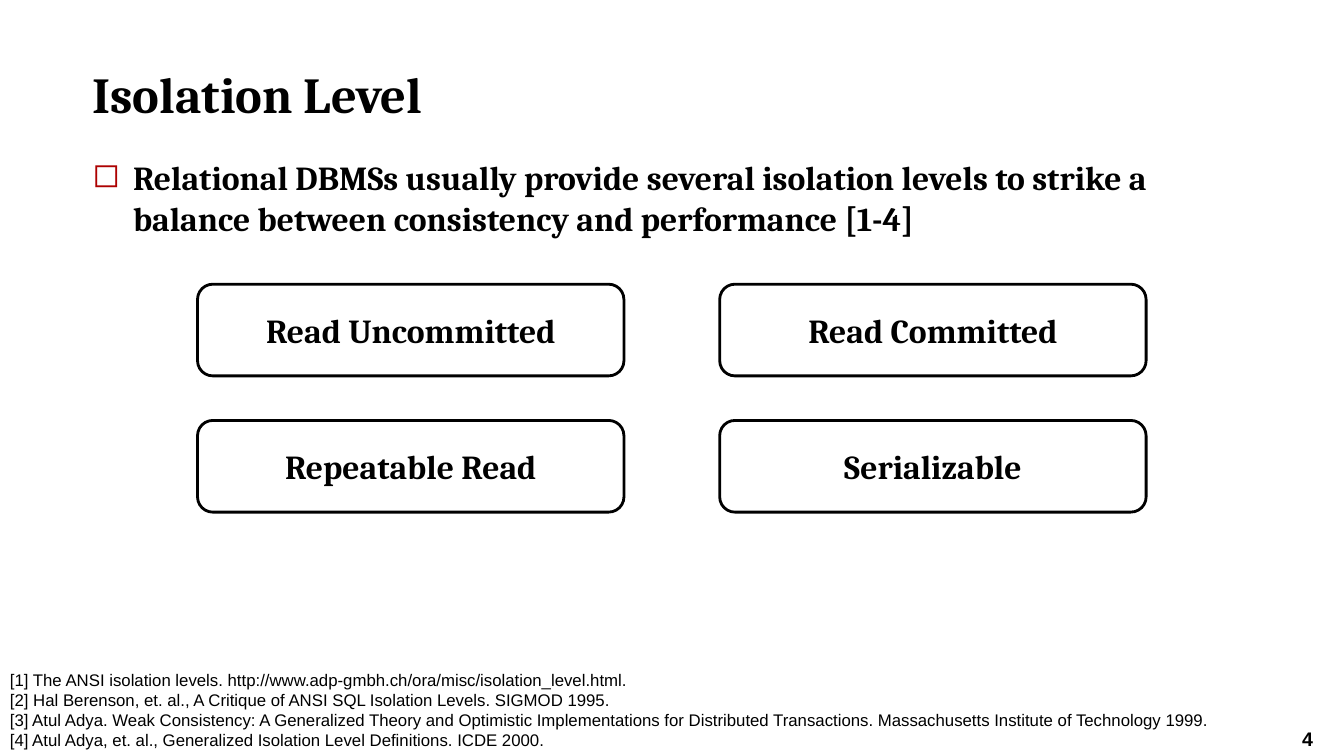
"""Build the slide on isolation levels."""
import pptx
import pptx.dml.color
import pptx.enum.shapes
import pptx.enum.text
import pptx.oxml
import pptx.oxml.ns
import pptx.util

Pt = pptx.util.Pt
Align = pptx.enum.text.PP_ALIGN
Anchor = pptx.enum.text.MSO_ANCHOR


def color(code):
    return pptx.dml.color.RGBColor.from_string(code)


def write(shape, lines, font, frame=None, para=None):
    text = shape.text_frame
    for name, value in {"word_wrap": True, **(frame or {})}.items():
        setattr(text, name, value)
    text.text = "\n".join(lines)
    for item in text.paragraphs:
        for name, value in (para or {}).items():
            setattr(item, name, value)
        for run in item.runs:
            for name, value in font.items():
                setattr(run.font, name, value)
            run.font.color.rgb = color("000000")


deck = pptx.Presentation()
deck.slide_width, deck.slide_height = Pt(960), Pt(540)
slide = deck.slides.add_slide(deck.slide_layouts[6])
shapes = slide.shapes

head = {"name": "Cambria", "size": Pt(36), "bold": True}
body = {"name": "Cambria", "size": Pt(24), "bold": True}
small = {"name": "Arial", "size": Pt(12), "bold": False}
count = {"name": "Arial", "size": Pt(14), "bold": True}

number = shapes.add_textbox(Pt(923), Pt(515.5), Pt(34.5), Pt(24.5))
write(number, ["4"], count)

title = shapes.add_textbox(Pt(59), Pt(24.5), Pt(852.5), Pt(67))
write(title, ["Isolation Level"], head,
      {"vertical_anchor": Anchor.BOTTOM}, {"line_spacing": Pt(46.7)})

claim = shapes.add_textbox(Pt(59), Pt(108.7), Pt(852.5), Pt(65.5))
write(claim, ["Relational DBMSs usually provide several isolation levels to strike a "
              "balance between consistency and performance [1-4]"], body)
props = claim.text_frame.paragraphs[0]._p.get_or_add_pPr()
props.set("marL", str(Pt(29)))
props.set("indent", str(-Pt(29)))
space = pptx.oxml.ns.nsdecls("a")
for mark in ('<a:buClr {}><a:srgbClr val="AD0101"/></a:buClr>', '<a:buChar {} char="◻"/>'):
    props.append(pptx.oxml.parse_xml(mark.format(space)))

levels = ["Read Uncommitted", "Read Committed", "Repeatable Read", "Serializable"]
for index, level in enumerate(levels):
    row, col = divmod(index, 2)
    box = shapes.add_shape(pptx.enum.shapes.MSO_SHAPE.ROUNDED_RECTANGLE,
                           Pt(141.1 + 373 * col), Pt(203 + 97.3 * row), Pt(304.6), Pt(65.5))
    box.shadow.inherit = False
    box.fill.solid()
    box.fill.fore_color.rgb = color("FFFFFF")
    box.line.color.rgb = color("000000")
    box.line.width = Pt(2)
    write(box, [level], body, {"word_wrap": False, "vertical_anchor": Anchor.MIDDLE},
          {"alignment": Align.CENTER})

papers = [
    "[1] The ANSI isolation levels. http://www.adp-gmbh.ch/ora/misc/isolation_level.html.",
    "[2] Hal Berenson, et. al., A Critique of ANSI SQL Isolation Levels. SIGMOD 1995.",
    "[3] Atul Adya. Weak Consistency: A Generalized Theory and Optimistic Implementations "
    "for Distributed Transactions. Massachusetts Institute of Technology 1999.",
    "[4] Atul Adya, et. al., Generalized Isolation Level Definitions. ICDE 2000.",
]
notes = shapes.add_textbox(Pt(0), Pt(474.5), Pt(960), Pt(65.5))
write(notes, papers, small)

deck.save("out.pptx")
